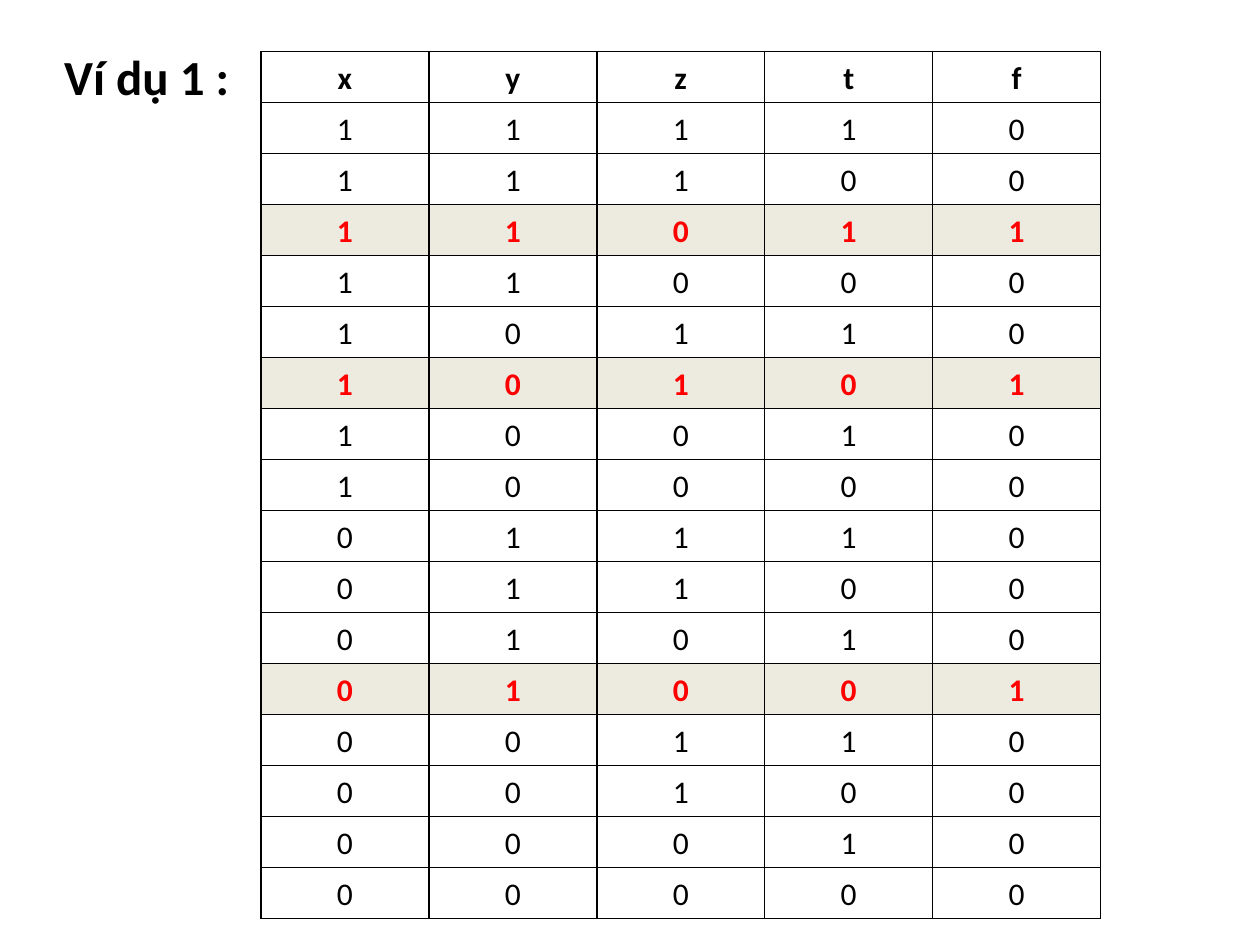
from dataclasses import dataclass
from itertools import product

from lxml.etree import SubElement
from pptx import Presentation
from pptx.dml.color import RGBColor as Color
from pptx.enum.text import MSO_ANCHOR as Anchor, PP_ALIGN as Align
from pptx.oxml.ns import qn
from pptx.util import Inches, Pt


@dataclass(frozen=True)
class Theme:
    font: str = "Calibri"
    ink: str = "000000"
    accent: str = "FF0000"
    highlight: str = "EDEBE0"
    title_size: float = 28
    cell_size: float = 18
    border: float = 1
    tracking: float = -0.5


@dataclass(frozen=True)
class Grid:
    left: float
    top: float
    column: float
    row: float


@dataclass(frozen=True)
class TableRow:
    values: tuple
    bold: bool = False
    color: str = Theme.ink
    fill: str | None = None


THEME = Theme()
WIDTH, HEIGHT = 10, 7.5
GRID = Grid(left=2.07, top=0.41, column=WIDTH / 7.5, row=HEIGHT / 18.52)
VARIABLES = ("x", "y", "z", "t")
MINTERMS = {(1, 1, 0, 1), (1, 0, 1, 0), (0, 1, 0, 0)}


def apply(target, values: dict) -> None:
    for name, value in values.items():
        setattr(target, name, value)


def add_span(para, text: str, size: float, bold: bool, color: str, tracking: float = 0) -> None:
    span = para.add_run()
    span.text = text
    apply(span.font, {"name": THEME.font, "size": Pt(size), "bold": bold})
    span.font.color.rgb = Color.from_string(color)
    if tracking:
        span.font._element.set("spc", str(int(tracking * 100)))


def add_borders(cell) -> None:
    properties = cell._tc.get_or_add_tcPr()
    for side in ("a:lnL", "a:lnR", "a:lnT", "a:lnB"):
        line = SubElement(properties, qn(side), w=str(Pt(THEME.border)))
        SubElement(SubElement(line, qn("a:solidFill")), qn("a:srgbClr"), val=THEME.ink)


def fill_cell(cell, value: str, row: TableRow) -> None:
    apply(cell, {"margin_left": 0, "margin_right": 0, "margin_bottom": 0,
                 "margin_top": Inches(0.03), "vertical_anchor": Anchor.TOP})
    add_borders(cell)
    if row.fill:
        cell.fill.solid()
        cell.fill.fore_color.rgb = Color.from_string(row.fill)
    else:
        cell.fill.background()
    para = cell.text_frame.paragraphs[0]
    para.alignment = Align.CENTER
    # The cell margin holds the text off the upper border
    cell.margin_top = Inches(0.03) + Pt(2.4)
    add_span(para, value, THEME.cell_size, row.bold, row.color, THEME.tracking)


def truth_rows() -> list[TableRow]:
    rows = [TableRow((*VARIABLES, "f"), bold=True)]
    for bits in product((1, 0), repeat=len(VARIABLES)):
        if bits in MINTERMS:
            rows.append(TableRow((*bits, 1), True, THEME.accent, THEME.highlight))
        else:
            rows.append(TableRow((*bits, 0)))
    return rows


def add_truth_table(page, grid: Grid, rows: list[TableRow]) -> None:
    columns = len(rows[0].values)
    table = page.shapes.add_table(
        len(rows), columns, Inches(grid.left), Inches(grid.top),
        Inches(grid.column * columns), Inches(grid.row * len(rows))).table
    apply(table, {"first_row": False, "horz_banding": False})
    for column in table.columns:
        column.width = Inches(grid.column)
    for line, row in zip(table.rows, rows):
        line.height = Inches(grid.row)
        for cell, value in zip(line.cells, row.values):
            fill_cell(cell, str(value), row)


def add_title(page) -> None:
    box = page.shapes.add_textbox(Inches(0.51), Inches(0.35), Inches(1.34), Inches(0.49))
    apply(box.text_frame, {"margin_left": 0, "margin_right": 0, "margin_bottom": 0,
                           "margin_top": Inches(0.02), "word_wrap": False})
    para = box.text_frame.paragraphs[0]
    add_span(para, "Ví dụ 1 ", THEME.title_size, True, THEME.ink)
    add_span(para, ":", THEME.title_size, True, THEME.ink, THEME.tracking)


def main() -> None:
    deck = Presentation()
    apply(deck, {"slide_width": Inches(WIDTH), "slide_height": Inches(HEIGHT)})
    page = deck.slides.add_slide(deck.slide_layouts[6])
    # Heading on the left, truth table beside it
    add_title(page)
    add_truth_table(page, GRID, truth_rows())
    deck.save("out.pptx")


if __name__ == "__main__":
    main()
